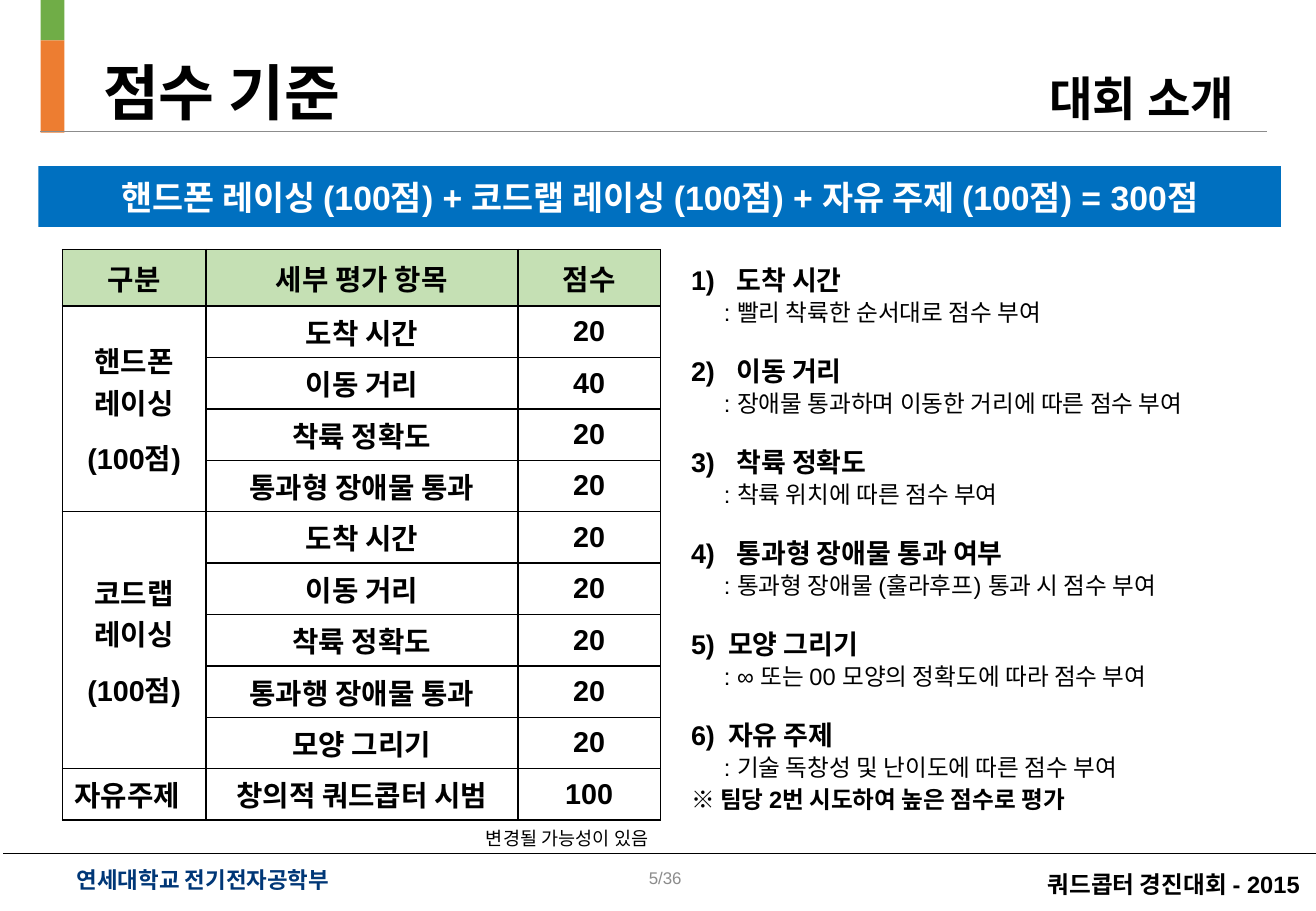
from pptx import Presentation
from pptx.dml.color import RGBColor
from pptx.enum.shapes import MSO_CONNECTOR, MSO_SHAPE
from pptx.enum.text import MSO_ANCHOR, PP_ALIGN
from pptx.oxml import parse_xml
from pptx.oxml.ns import nsdecls
from pptx.util import Pt

LEFT, MID, RIGHT = PP_ALIGN.LEFT, PP_ALIGN.CENTER, PP_ALIGN.RIGHT
TOP, CENTER, BOTTOM = MSO_ANCHOR.TOP, MSO_ANCHOR.MIDDLE, MSO_ANCHOR.BOTTOM
RECT, LINE = MSO_SHAPE.RECTANGLE, MSO_CONNECTOR.STRAIGHT

BLACK = RGBColor(0x00, 0x00, 0x00)
WHITE = RGBColor(0xFF, 0xFF, 0xFF)
GRAY = RGBColor(0x8C, 0x8C, 0x8C)
NAVY = RGBColor(0x00, 0x37, 0x77)
BLUE = RGBColor(0x00, 0x70, 0xC0)
GREEN = RGBColor(0x70, 0xAD, 0x47)
ORANGE = RGBColor(0xED, 0x7D, 0x31)
PALE = RGBColor(0xC5, 0xE0, 0xB4)

# Content
TITLE = "점수 기준"
TOPIC = "대회 소개"
TOTAL = "핸드폰 레이싱 (100점) + 코드랩 레이싱 (100점) + 자유 주제 (100점) = 300점"
HEADS = ["구분", "세부 평가 항목", "점수"]
GROUPS = [
    (["핸드폰", "레이싱", "(100점)"], [
        ("도착 시간", 20), ("이동 거리", 40), ("착륙 정확도", 20),
        ("통과형 장애물 통과", 20)]),
    (["코드랩", "레이싱", "(100점)"], [
        ("도착 시간", 20), ("이동 거리", 20), ("착륙 정확도", 20),
        ("통과행 장애물 통과", 20), ("모양 그리기", 20)]),
    (["자유주제"], [("창의적 쿼드콥터 시범", 100)]),
]
RULES = [  # heading, detail, heading indent
    ("도착 시간", "빨리 착륙한 순서대로 점수 부여", 27),
    ("이동 거리", "장애물 통과하며 이동한 거리에 따른 점수 부여", 27),
    ("착륙 정확도", "착륙 위치에 따른 점수 부여", 27),
    ("통과형 장애물 통과 여부", "통과형 장애물 (훌라후프) 통과 시 점수 부여", 27),
    ("모양 그리기", "∞ 또는 00 모양의 정확도에 따라 점수 부여", 22),
    ("자유 주제", "기술 독창성 및 난이도에 따른 점수 부여", 22),
]
NOTE = "※ 팀당 2번 시도하여 높은 점수로 평가"
CAVEAT = "변경될 가능성이 있음"
SCHOOL = "연세대학교 전기전자공학부"
PAGE = "5/36"
EVENT = "쿼드콥터 경진대회 - 2015"

# Layout
COLS = [85, 185, 84.5]
HEAD_H, ROW_H = 33.4, 30.5
STEP = 18  # line pitch and gap in the rules list

prs = Presentation()
prs.slide_width, prs.slide_height = Pt(780), Pt(540)
slide = prs.slides.add_slide(prs.slide_layouts[6])
shapes = slide.shapes


def write(frame, text, size=14, bold=False, color=BLACK, font="Arial",
          align=LEFT, first=True, before=0, lead=None, left=0, hang=0):
    para = frame.paragraphs[0] if first else frame.add_paragraph()
    para.alignment = align
    if before:
        para.space_before = Pt(before)
    if lead:
        para.line_spacing = lead
    if left:
        props = para._p.get_or_add_pPr()
        props.set("marL", str(Pt(left)))
        props.set("indent", str(-Pt(hang)))
    run = para.add_run()
    run.text = text
    run.font.size, run.font.bold, run.font.name = Pt(size), bold, font
    run.font.color.rgb = color


def text_box(x, y, w, h, anchor=CENTER, wrap=True):
    frame = shapes.add_textbox(Pt(x), Pt(y), Pt(w), Pt(h)).text_frame
    frame.word_wrap = wrap
    frame.vertical_anchor = anchor
    return frame


def block(x, y, w, h, color):
    shape = shapes.add_shape(RECT, Pt(x), Pt(y), Pt(w), Pt(h))
    shape.shadow.inherit = False
    shape.fill.solid()
    shape.fill.fore_color.rgb = color
    shape.line.fill.background()
    return shape.text_frame


def rule(x, y, end, color):
    line = shapes.add_connector(LINE, Pt(x), Pt(y), Pt(end), Pt(y))
    line.line.color.rgb = color
    line.line.width = Pt(0.5)
    line._element.spPr.append(parse_xml(f"<a:effectLst {nsdecls('a')}/>"))


def style(cell, fill=None):
    cell.vertical_anchor = CENTER
    cell.margin_left = cell.margin_right = Pt(7.2)
    cell.margin_top = cell.margin_bottom = Pt(1.4)
    props = cell._tc.get_or_add_tcPr()
    for side in ("lnL", "lnR", "lnT", "lnB"):
        props.append(parse_xml(
            f'<a:{side} {nsdecls("a")} w="{Pt(1)}"><a:solidFill>'
            f'<a:srgbClr val="{BLACK}"/></a:solidFill></a:{side}>'))
    if fill is None:
        cell.fill.background()
    else:
        cell.fill.solid()
        cell.fill.fore_color.rgb = fill


def label(cell, text, **form):
    write(cell.text_frame, text, size=17, bold=True, **{"align": MID, **form})


# Side bars and lines
block(24, 0, 14.2, 24, GREEN)
block(24, 24, 14.2, 54.7, ORANGE)
rule(24, 77.8, 751, GRAY)
rule(2, 506, 780, BLACK)

# Titles and banner
write(text_box(54, 28.8, 507.6, 51, BOTTOM), TITLE, size=36, bold=True,
      font="Calibri", lead=0.9)
write(text_box(615, 34.6, 165, 51), TOPIC, size=28, bold=True, lead=0.9)
banner = block(22.8, 98.5, 736.5, 36, BLUE)
banner.word_wrap = True
banner.vertical_anchor = CENTER
banner.margin_left = banner.margin_right = Pt(3)
write(banner, TOTAL, size=20, bold=True, color=WHITE, align=MID)

# Score table
count = 1 + sum(len(items) for _, items in GROUPS)
table = shapes.add_table(count, len(COLS), Pt(37), Pt(148), Pt(sum(COLS)),
                         Pt(HEAD_H + ROW_H * (count - 1))).table
for col, width in zip(table.columns, COLS):
    col.width = Pt(width)
for i, row in enumerate(table.rows):
    row.height = Pt(ROW_H if i else HEAD_H)
    for cell in row.cells:
        style(cell, None if i else PALE)
for col, head in enumerate(HEADS):
    label(table.cell(0, col), head)
top = 1
for names, items in GROUPS:
    lead = table.cell(top, 0)
    single = len(items) == 1
    if not single:
        lead.merge(table.cell(top + len(items) - 1, 0))
    for i, name in enumerate(names):
        label(lead, name, first=i == 0, before=8 if i == 2 else 0,
              align=LEFT if single else MID,
              font="Calibri" if single else "Arial")
    for i, (item, score) in enumerate(items, top):
        label(table.cell(i, 1), item)
        label(table.cell(i, 2), str(score))
    top += len(items)
write(text_box(281, 486.7, 119.5, 21, TOP, False), CAVEAT, size=11,
      font="Calibri")

# Scoring rules
body = text_box(402.5, 146.9, 373.7, 345.6)
for i, (head, detail, gap) in enumerate(RULES):
    write(body, f"{i + 1})\t{head}", size=16, bold=True, first=i == 0,
          before=STEP if i else 0, lead=Pt(STEP), left=gap, hang=gap)
    write(body, f": {detail}", first=False, lead=Pt(STEP), left=19.5)
write(body, NOTE, bold=True, first=False, before=1, lead=Pt(STEP))

# Footer
write(text_box(38.2, 511.5, 219.6, 20), SCHOOL, size=13.3, bold=True,
      color=NAVY)
write(text_box(235.4, 506.2, 175.7, 28.8), PAGE, size=10, color=GRAY,
      align=RIGHT)
event = text_box(38.2, 510.5, 741.6, 26.6)
event.margin_right = Pt(9.4)
write(event, EVENT, bold=True, align=RIGHT)

prs.save("out.pptx")
